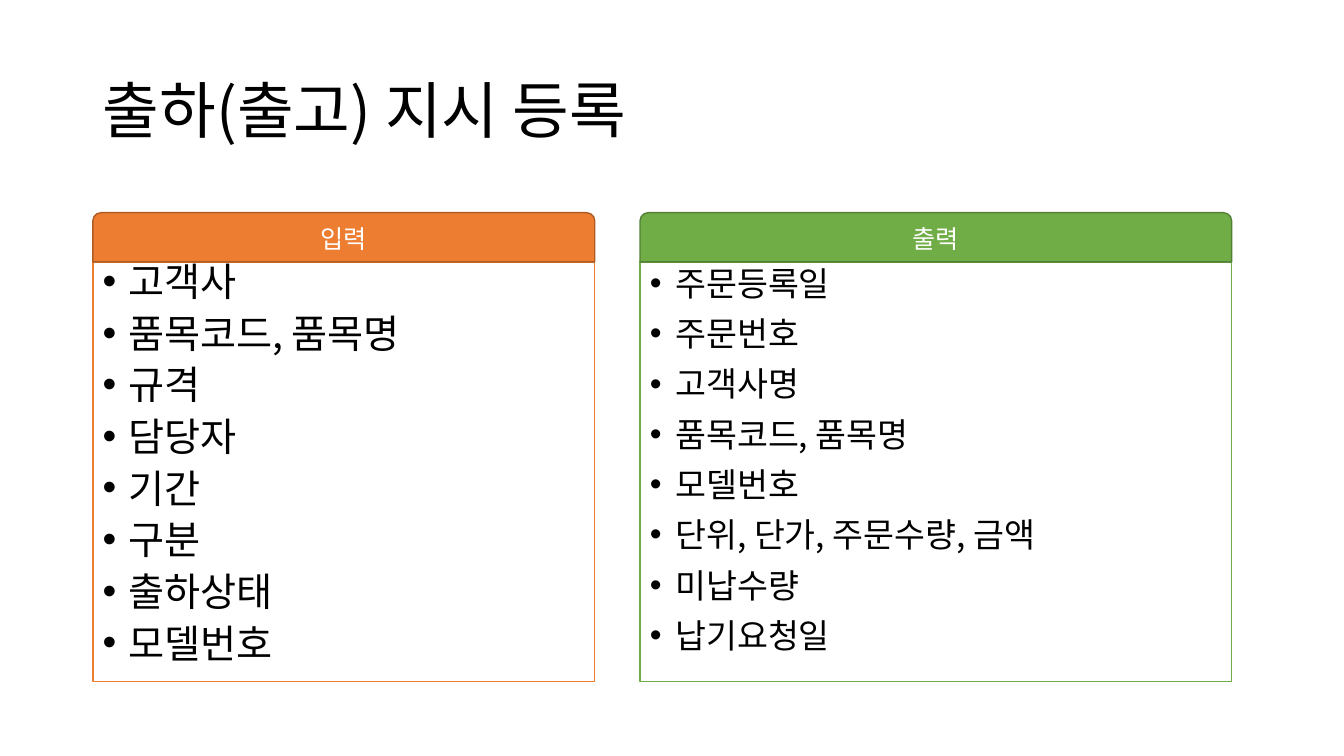
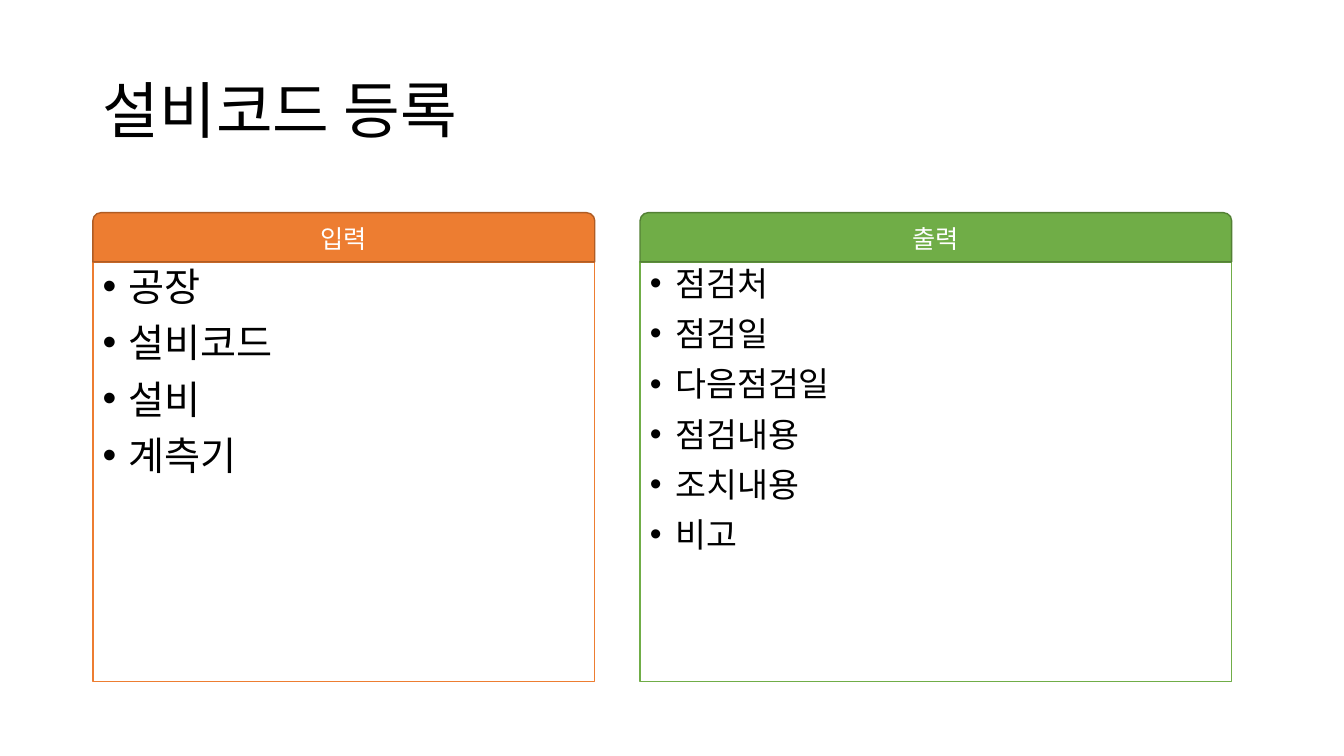
from dataclasses import dataclass

from lxml import etree
from pptx import Presentation
from pptx import util as u
from pptx.dml.color import RGBColor
from pptx.enum import shapes, text
from pptx.oxml import ns


@dataclass(frozen=True)
class Theme:
    font: str = "Noto Sans CJK KR"
    bullet_font: str = "Arial"
    ink: str = "000000"
    paper: str = "FFFFFF"
    orange: str = "ED7D31"
    orange_edge: str = "AF5C24"
    green: str = "70AD47"
    green_edge: str = "538035"
    title_size: int = 44
    input_size: int = 28
    output_size: int = 24
    header_size: int = 18
    line_height: float = 1.2
    para_gap: int = 10
    edge: int = 1


@dataclass(frozen=True)
class Box:
    left: float
    top: float
    width: float
    height: float

    def lengths(self):
        return [u.Cm(n) for n in (self.left, self.top, self.width, self.height)]


THEME = Theme()
SLIDE_WIDTH, SLIDE_HEIGHT = 33.87, 19.05
TITLE_BOX = Box(2.34, 1.02, 29.21, 3.68)
INPUT_BOX = Box(2.34, 5.36, 12.65, 11.81)
OUTPUT_BOX = Box(16.13, 5.36, 14.91, 11.81)
HEADER_HEIGHT = 1.24
BULLET_INDENT = u.Cm(0.64)

PAGES = [
    {
        "title": "출하(출고) 지시 등록",
        "inputs": ["고객사", "품목코드, 품목명", "규격", "담당자", "기간", "구분",
                   "출하상태", "모델번호"],
        "outputs": ["주문등록일", "주문번호", "고객사명", "품목코드, 품목명", "모델번호",
                    "단위, 단가, 주문수량, 금액", "미납수량", "납기요청일"],
        "input_spacing": 0.8,
    },
    {
        "title": "설비코드 등록",
        "inputs": ["공장", "설비코드", "설비", "계측기"],
        "outputs": ["점검처", "점검일", "다음점검일", "점검내용", "조치내용", "비고"],
        "input_spacing": 0.9,
    },
]


def add_bullet(para):
    props = para._p.get_or_add_pPr()
    props.set("marL", str(BULLET_INDENT))
    props.set("indent", str(-BULLET_INDENT))
    etree.SubElement(props, ns.qn("a:buFont")).set("typeface", THEME.bullet_font)
    etree.SubElement(props, ns.qn("a:buChar")).set("char", "•")


def write(frame, lines, *, size, color=THEME.ink, align=text.PP_ALIGN.LEFT,
          anchor=text.MSO_ANCHOR.MIDDLE, spacing=None, before=0, bullets=False):
    """Fill a text frame with one paragraph for each line."""
    frame.word_wrap = True
    frame.auto_size = text.MSO_AUTO_SIZE.NONE
    frame.vertical_anchor = anchor
    for index, line in enumerate(lines):
        para = frame.add_paragraph() if index else frame.paragraphs[0]
        para.alignment = align
        para.line_spacing = spacing
        para.space_before = u.Pt(before)
        if bullets:
            add_bullet(para)
        span = para.add_run()
        span.text = line
        span.font.size = u.Pt(size)
        span.font.name = THEME.font
        span.font.color.rgb = RGBColor.from_string(color)
        east_asian = etree.SubElement(span._r.get_or_add_rPr(), ns.qn("a:ea"))
        east_asian.set("typeface", THEME.font)


def add_block(page, kind, box, fill, line):
    block = page.shapes.add_shape(kind, *box.lengths())
    block.shadow.inherit = False
    block.fill.solid()
    block.fill.fore_color.rgb = RGBColor.from_string(fill)
    block.line.color.rgb = RGBColor.from_string(line)
    block.line.width = u.Pt(THEME.edge)
    return block


def add_title(page, box, title):
    holder = page.shapes.title
    holder.left, holder.top, holder.width, holder.height = box.lengths()
    write(holder.text_frame, [title], size=THEME.title_size, spacing=0.9)


def add_panel(page, box, heading, items, *, color, edge, size, spacing):
    """Draw a bulleted list under a coloured header, filling the box."""
    header_box = Box(box.left, box.top, box.width, HEADER_HEIGHT)
    list_box = Box(box.left, box.top + HEADER_HEIGHT, box.width,
                   box.height - HEADER_HEIGHT)
    body = add_block(page, shapes.MSO_SHAPE.RECTANGLE, list_box, THEME.paper, color)
    write(body.text_frame, items, size=size, anchor=text.MSO_ANCHOR.TOP,
          spacing=u.Pt(size * THEME.line_height * spacing),
          before=THEME.para_gap, bullets=True)
    header = add_block(page, shapes.MSO_SHAPE.ROUND_2_SAME_RECTANGLE, header_box,
                       color, edge)
    write(header.text_frame, [heading], size=THEME.header_size, color=THEME.paper,
          align=text.PP_ALIGN.CENTER)


def add_page(deck, title, inputs, outputs, input_spacing):
    page = deck.slides.add_slide(deck.slide_layouts.get_by_name("Title Only"))
    add_title(page, TITLE_BOX, title)
    add_panel(page, INPUT_BOX, "입력", inputs, color=THEME.orange,
              edge=THEME.orange_edge, size=THEME.input_size, spacing=input_spacing)
    add_panel(page, OUTPUT_BOX, "출력", outputs, color=THEME.green,
              edge=THEME.green_edge, size=THEME.output_size, spacing=0.9)


def main():
    deck = Presentation()
    deck.slide_width, deck.slide_height = u.Cm(SLIDE_WIDTH), u.Cm(SLIDE_HEIGHT)
    for content in PAGES:
        add_page(deck, **content)
    deck.save("out.pptx")


if __name__ == "__main__":
    main()
